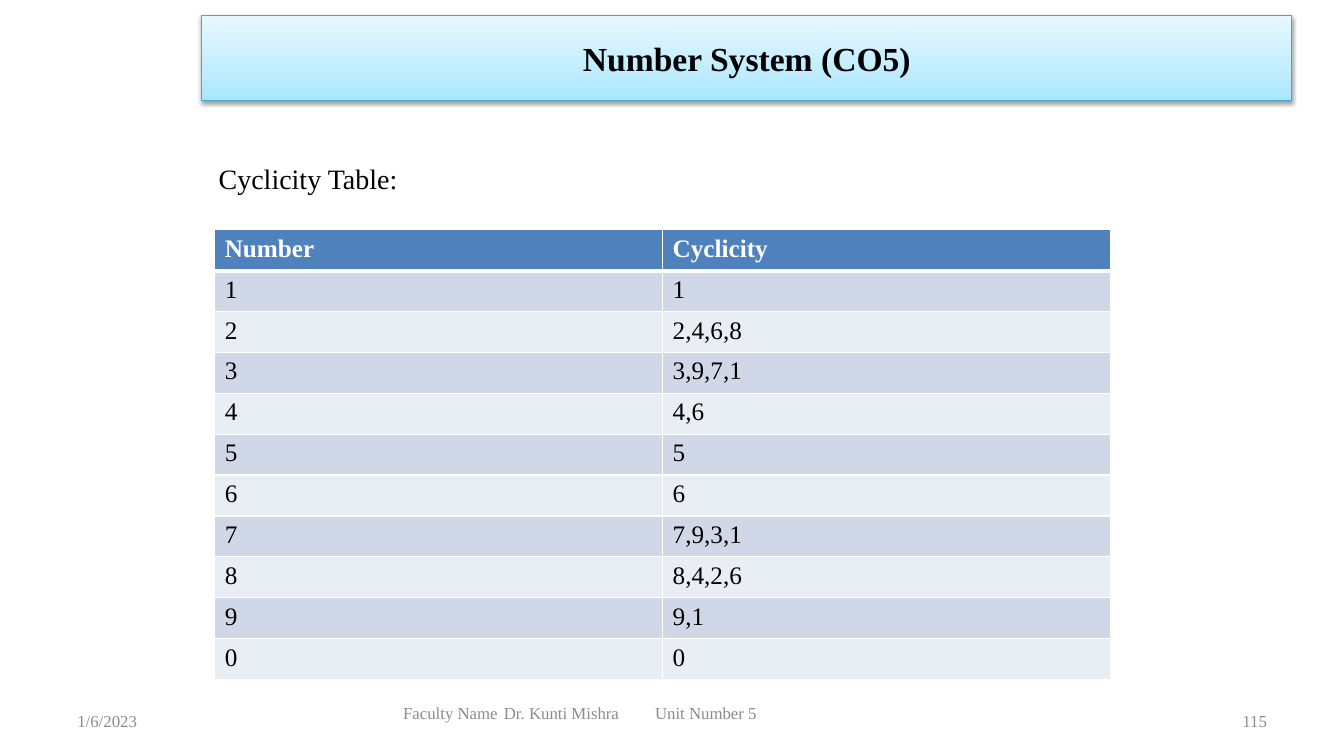
from lxml.etree import SubElement
from pptx import Presentation
from pptx.dml.color import RGBColor
from pptx.enum.shapes import MSO_SHAPE as Shape
from pptx.enum.text import MSO_ANCHOR as Anchor, PP_ALIGN as Align
from pptx.oxml.ns import qn
from pptx.util import Cm, Pt


def rgb(code):
    """Turn a hex string into a colour."""
    return RGBColor.from_string(code)


def add_colour(parent, code):
    """Append a colour element to an XML parent."""
    return SubElement(parent, qn("a:srgbClr"), val=code)


class SlideBuilder:
    """Hold the style and the current slide, and draw its elements."""

    font = "Times New Roman"
    ink, paper, grey = "000000", "FFFFFF", "8C8C8C"
    header_fill, bands = "4F81BD", ("D0D8E8", "E9EDF4")
    banner_stops = ((0, "A7E6FF"), (35, "C1EDFF"), (100, "E7F8FF"))
    banner_line = "46AAC5"

    def __init__(self, slide):
        """Start on the given slide."""
        self.slide = slide

    def set_text(self, frame, text, size, colour, bold=False, align=Align.LEFT):
        """Put one styled paragraph into a text frame."""
        frame.text = text
        paragraph = frame.paragraphs[0]
        paragraph.alignment = align
        for run in paragraph.runs:
            run.font.name, run.font.size, run.font.bold = self.font, Pt(size), bold
            run.font.color.rgb = rgb(colour)

    def banner(self, text, box):
        """Draw the title on a shaded, shadowed rectangle."""
        banner = self.slide.shapes.add_shape(Shape.RECTANGLE, *map(Cm, box))
        banner.fill.gradient()
        banner.fill.gradient_angle = 90
        properties = banner._element.spPr
        stops = properties.find(".//" + qn("a:gsLst"))
        stops.clear()
        for percent, code in self.banner_stops:
            add_colour(SubElement(stops, qn("a:gs"), pos=str(percent * 1000)), code)
        banner.line.color.rgb = rgb(self.banner_line)
        banner.line.width = Pt(0.75)
        banner.shadow.inherit = False
        shadow = SubElement(properties.find(qn("a:effectLst")), qn("a:outerShdw"),
                            blurRad=str(Pt(3.1)), dist=str(Pt(1.6)),
                            dir="5400000", rotWithShape="0")
        SubElement(add_colour(shadow, self.ink), qn("a:alpha"), val="38000")
        banner.text_frame.vertical_anchor = Anchor.MIDDLE
        self.set_text(banner.text_frame, text, 24, self.ink, True, Align.CENTER)

    def label(self, text, box, size, colour, align=Align.LEFT,
              anchor=Anchor.MIDDLE, indent=0.25, tabs=()):
        """Draw a text box, with tab stops if any are given."""
        frame = self.slide.shapes.add_textbox(*map(Cm, box)).text_frame
        frame.word_wrap = True
        frame.vertical_anchor = anchor
        frame.margin_left = Cm(indent)
        if tabs:
            stops = SubElement(frame.paragraphs[0]._p.get_or_add_pPr(), qn("a:tabLst"))
            for stop in tabs:
                SubElement(stops, qn("a:tab"), pos=str(Cm(stop)), algn="l")
        self.set_text(frame, text, size, colour, align=align)

    def borders(self, cell, top, bottom):
        """Outline a table cell in white."""
        properties = cell._tc.get_or_add_tcPr()
        for side, width in (("L", 1), ("R", 1), ("T", top), ("B", bottom)):
            line = SubElement(properties, qn("a:ln" + side), w=str(Pt(width)))
            add_colour(SubElement(line, qn("a:solidFill")), self.paper)

    def table(self, rows, box):
        """Draw a banded table with a header row."""
        table = self.slide.shapes.add_table(len(rows), len(rows[0]), *map(Cm, box)).table
        table.first_row = table.horz_banding = False
        for r, values in enumerate(rows):
            header = r == 0
            for c, value in enumerate(values):
                cell = table.cell(r, c)
                self.borders(cell, 3 if r == 1 else 1, 3 if header else 1)
                cell.fill.solid()
                cell.fill.fore_color.rgb = rgb(
                    self.header_fill if header else self.bands[(r - 1) % 2])
                self.set_text(cell.text_frame, value, 18,
                              self.paper if header else self.ink, header)


def main():
    """Build the cyclicity slide and save it."""
    deck = Presentation()
    deck.slide_width, deck.slide_height = Cm(33.87), Cm(19.05)
    builder = SlideBuilder(deck.slides.add_slide(deck.slide_layouts[6]))

    builder.banner("Number System (CO5)", (5.08, 0.38, 27.48, 2.16))
    builder.label("Cyclicity Table:", (5.08, 3.94, 27.48, 13.18), 20, builder.ink,
                  anchor=Anchor.TOP, indent=0.43)

    cyclicity = {"1": "1", "2": "2,4,6,8", "3": "3,9,7,1", "4": "4,6", "5": "5",
                 "6": "6", "7": "7,9,3,1", "8": "8,4,2,6", "9": "9,1", "0": "0"}
    builder.table([("Number", "Cyclicity"), *cyclicity.items()],
                  (5.41, 5.79, 22.58, 11.33))

    footer_top = 17.65
    builder.label("1/6/2023", (1.7, footer_top, 7.9, 1.02), 12, builder.grey)
    builder.label("Faculty Name\tDr. Kunti Mishra\tUnit Number 5",
                  (7.24, footer_top, 15.04, 0.61), 12, builder.grey,
                  indent=2.92, tabs=(2.81, 6.7))
    builder.label("115", (24.28, footer_top, 7.9, 1.02), 12, builder.grey, Align.RIGHT)

    deck.save("out.pptx")


if __name__ == "__main__":
    main()
